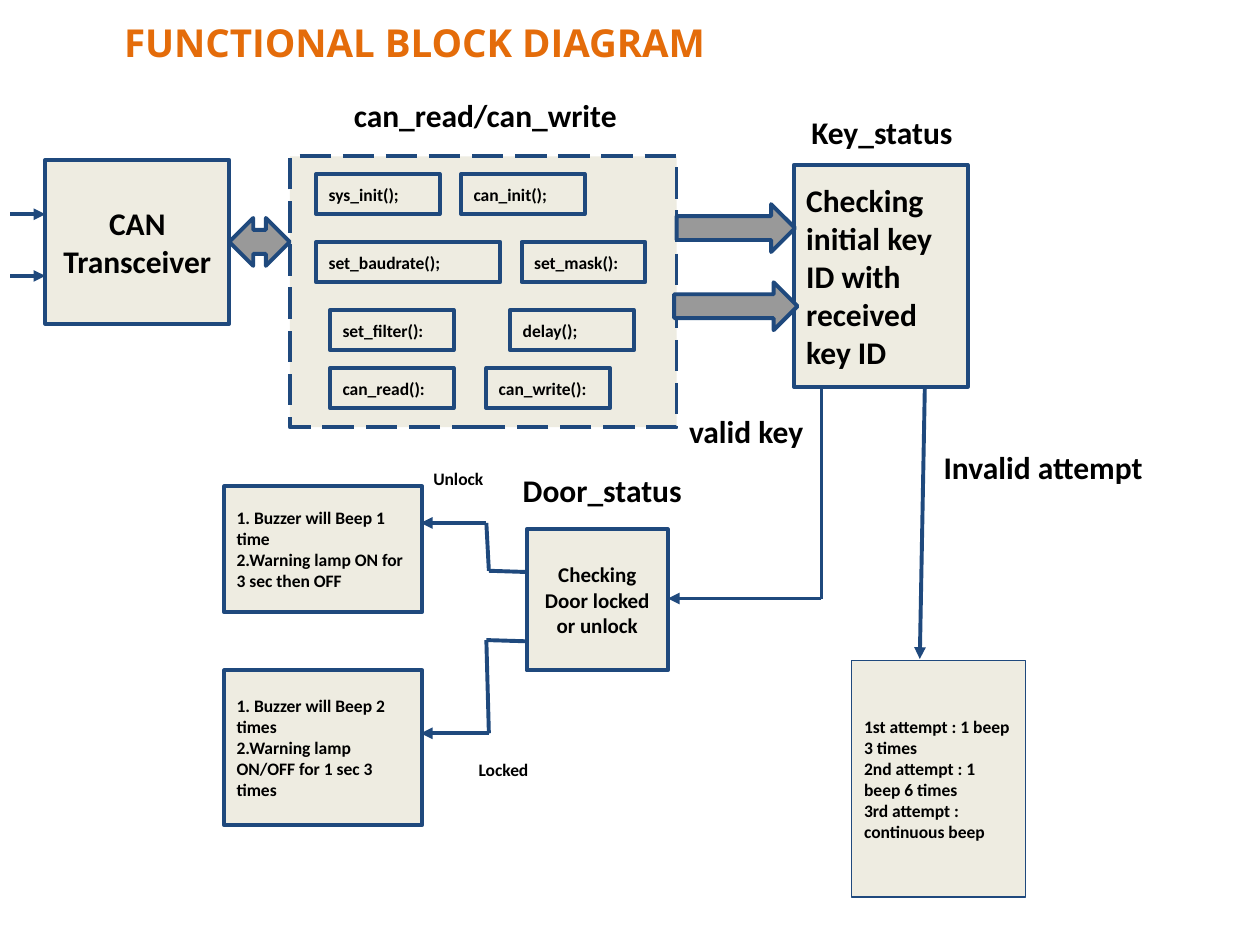
from dataclasses import dataclass
from itertools import pairwise

from lxml.etree import SubElement
from pptx import Presentation
from pptx.dml.color import RGBColor
from pptx.enum.dml import MSO_LINE
from pptx.enum.shapes import MSO_CONNECTOR, MSO_SHAPE
from pptx.enum.text import MSO_ANCHOR, PP_ALIGN
from pptx.oxml.ns import qn
from pptx.util import Inches, Pt

COLUMNS, ROWS = 100, 75
NAVY, CREAM, GREY, BLACK, ORANGE = "1F497D", "EEECE1", "999999", "000000", "E46C0A"
LEFT, CENTRE = PP_ALIGN.LEFT, PP_ALIGN.CENTER

deck = Presentation()
deck.slide_width, deck.slide_height = Inches(10), Inches(7.5)
slide = deck.slides.add_slide(deck.slide_layouts[6])


@dataclass
class Area:
    column: float
    row: float
    columns: float
    rows: float

    def lengths(self) -> tuple[int, int, int, int]:
        return (across(self.column), down(self.row),
                across(self.columns), down(self.rows))


@dataclass
class Block:
    area: Area
    lines: tuple[str, ...] = ()
    size: float = 10
    align: PP_ALIGN = LEFT
    preset: MSO_SHAPE = MSO_SHAPE.RECTANGLE
    fill: str = CREAM
    weight: float = 2.25
    dashed: bool = False


@dataclass
class Label:
    area: Area
    text: str
    size: float = 18
    font: str = "Calibri"
    color: str = BLACK
    align: PP_ALIGN = LEFT
    anchor: MSO_ANCHOR = MSO_ANCHOR.TOP


@dataclass
class Route:
    points: tuple[tuple[float, float], ...]


def across(columns: float) -> int:
    return round(deck.slide_width * columns / COLUMNS)


def down(rows: float) -> int:
    return round(deck.slide_height * rows / ROWS)


def rgb(code: str) -> RGBColor:
    return RGBColor.from_string(code)


def write(frame, lines: tuple[str, ...], size: float, align: PP_ALIGN,
          anchor: MSO_ANCHOR, font: str = "Calibri", color: str = BLACK) -> None:
    frame.word_wrap = True
    frame.vertical_anchor = anchor
    frame.margin_left = frame.margin_right = Inches(0.1)
    frame.margin_top = frame.margin_bottom = Inches(0.1)
    for index, line in enumerate(lines):
        paragraph = frame.add_paragraph() if index else frame.paragraphs[0]
        paragraph.alignment = align
        run = paragraph.add_run()
        run.text = line
        run.font.name, run.font.size, run.font.bold = font, Pt(size), True
        run.font.color.rgb = rgb(color)


def draw_block(block: Block) -> None:
    shape = slide.shapes.add_shape(block.preset, *block.area.lengths())
    shape.shadow.inherit = False
    shape.fill.solid()
    shape.fill.fore_color.rgb = rgb(block.fill)
    shape.line.color.rgb = rgb(NAVY)
    shape.line.width = Pt(block.weight)
    if block.dashed:
        shape.line.dash_style = MSO_LINE.LONG_DASH
    if block.lines:
        write(shape.text_frame, block.lines, block.size, block.align, MSO_ANCHOR.MIDDLE)


def draw_label(label: Label) -> None:
    box = slide.shapes.add_textbox(*label.area.lengths())
    write(box.text_frame, (label.text,), label.size, label.align,
          label.anchor, label.font, label.color)


def draw_route(route: Route) -> None:
    for start, end in pairwise(route.points):
        segment = slide.shapes.add_connector(
            MSO_CONNECTOR.STRAIGHT, across(start[0]), down(start[1]),
            across(end[0]), down(end[1]))
        segment.line.color.rgb = rgb(NAVY)
        segment.line.width = Pt(2.25)
        if end == route.points[-1]:
            SubElement(segment.line._get_or_add_ln(), qn("a:tailEnd"), type="triangle")
        SubElement(segment._element.spPr, qn("a:effectLst"))


def call(column: float, row: float, name: str, columns: float = 9.8) -> Block:
    return Block(Area(column, row, columns, 3.2), (name,))


def arrow(area: Area, preset: MSO_SHAPE = MSO_SHAPE.RIGHT_ARROW) -> Block:
    return Block(area, preset=preset, fill=GREY)


blocks = [
    Block(Area(3.6, 12.7, 14.6, 13), ("CAN Transceiver",), 18, CENTRE),
    Block(Area(23, 12.4, 30.7, 21.5), dashed=True),
    call(25.1, 13.8, "sys_init();"),
    call(36.6, 13.8, "can_init();"),
    call(25.1, 19.2, "set_baudrate();", 14.6),
    call(41.4, 19.2, "set_mask():"),
    call(26.2, 24.6, "set_filter():"),
    call(40.5, 24.6, "delay();"),
    call(26.2, 29.2, "can_read():"),
    call(38.6, 29.2, "can_write():"),
    Block(Area(63, 13.1, 13.8, 17.6),
          ("Checking initial key ID with received key ID",), 18),
    arrow(Area(53.7, 16.2, 9.4, 3.8)),
    arrow(Area(53.5, 22.4, 9.8, 3.8)),
    arrow(Area(18.2, 17.3, 4.8, 3.8), MSO_SHAPE.LEFT_RIGHT_ARROW),
    Block(Area(41.8, 42, 11.2, 11.2), ("Checking Door locked or unlock",), 12, CENTRE),
    Block(Area(67.6, 52.4, 13.8, 18.8),
          ("1st attempt : 1 beep 3 times", "2nd attempt : 1 beep 6 times",
           "3rd attempt : continuous beep"), weight=0.75),
    Block(Area(17.8, 38.6, 15.7, 10),
          ("1. Buzzer will Beep 1 time", "2.Warning lamp ON for 3 sec then OFF")),
    Block(Area(17.8, 53.2, 15.7, 12.3),
          ("1. Buzzer will Beep 2 times", "2.Warning lamp ON/OFF for 1 sec 3 times")),
]

routes = [
    Route(((0.8, 17), (3.6, 17))),
    Route(((0.8, 21.9), (3.6, 21.9))),
    Route(((65.2, 30.6), (65.2, 47.5), (53, 47.5))),
    Route(((73.4, 30.8), (73, 52.3))),
    Route(((41.8, 45.4), (38.8, 45.3), (38.6, 41.5), (33.4, 41.5))),
    Route(((41.8, 50.9), (38.6, 50.8), (38.8, 58.2), (33.4, 58.2))),
]

labels = [
    Label(Area(5, 1.7, 55.8, 3.3), "FUNCTIONAL BLOCK DIAGRAM", 22,
          "Open Sans", ORANGE, CENTRE, MSO_ANCHOR.MIDDLE),
    Label(Area(27.1, 6.6, 24.1, 5), "can_read/can_write"),
    Label(Area(63.4, 8, 22.1, 5), "Key_status"),
    Label(Area(73.9, 34.6, 17.8, 5), "Invalid attempt"),
    Label(Area(53.7, 31.7, 17.8, 5), "valid key"),
    Label(Area(40.5, 36.4, 22.1, 5), "Door_status"),
    Label(Area(37, 59.4, 9.8, 3.8), "Locked", 10),
    Label(Area(33.4, 36.3, 9.8, 3.8), "Unlock", 10),
]


def build() -> None:
    """Draw the functional block diagram and save the deck."""
    for block in blocks:
        draw_block(block)
    for route in routes:
        draw_route(route)
    for label in labels:
        draw_label(label)
    deck.save("out.pptx")


build()
